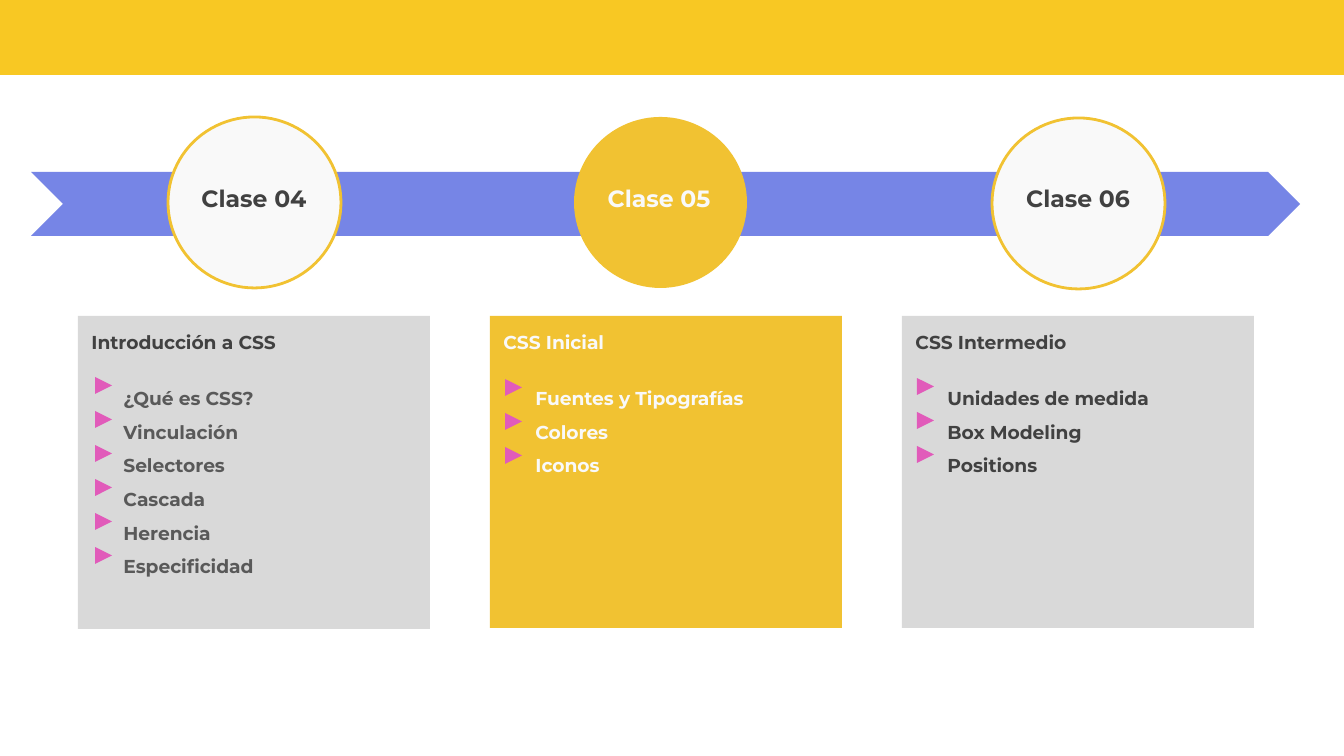
from pptx import Presentation
from pptx.dml.color import RGBColor
from pptx.enum.shapes import MSO_SHAPE
from pptx.enum.text import MSO_ANCHOR, MSO_AUTO_SIZE, PP_ALIGN
from pptx.oxml.ns import qn
from pptx.util import Pt
from lxml import etree

PIXEL = 914400 / 134.4

THEME = {
    "font": "Montserrat",
    "label_size": 12.6,
    "list_size": 10,
    "banner": "F8C823",
    "arrow": "7685E6",
    "active": "F1C232",
    "circle": "F9F9F9",
    "card": "D9D9D9",
    "marker": "E15BBA",
    "light": "F9F9F9",
    "dark": "414141",
    "grey": "595959",
}

CLASSES = [
    {"label": "Clase 04", "heading": "Introducción a CSS", "active": False,
     "items": ["¿Qué es CSS?", "Vinculación", "Selectores", "Cascada", "Herencia", "Especificidad"],
     "text": "dark", "item_text": "grey", "circle": (168, 117), "label_box": (187, 134),
     "markers": (95, 377), "card_height": 313},
    {"label": "Clase 05", "heading": "CSS Inicial", "active": True,
     "items": ["Fuentes y Tipografías", "Colores", "Iconos"],
     "text": "light", "item_text": "light", "circle": (574, 117), "label_box": (579, 160),
     "markers": (505, 379), "card_height": 312},
    {"label": "Clase 06", "heading": "CSS Intermedio", "active": False,
     "items": ["Unidades de medida", "Box Modeling", "Positions"],
     "text": "dark", "item_text": "dark", "circle": (992, 118), "label_box": (1011, 134),
     "markers": (917, 378), "card_height": 312},
]
CARD_LEFT, CARD_STEP, CARD_TOP, CARD_WIDTH = 78, 412, 316, 352
MARKER_SIZE, MARKER_STEP = 17, 34

presentation = Presentation()
presentation.slide_width = round(1344 * PIXEL)
presentation.slide_height = round(756 * PIXEL)
slide = presentation.slides.add_slide(presentation.slide_layouts.get_by_name("Comparison"))
title, *bodies = slide.placeholders
spare = bodies.pop()
spare.element.getparent().remove(spare.element)


def add_block(kind, box, fill, outline=None):
    shape = slide.shapes.add_shape(kind, *[round(value * PIXEL) for value in box])
    shape.shadow.inherit = False
    shape.fill.solid()
    shape.fill.fore_color.rgb = RGBColor.from_string(THEME[fill])
    if outline:
        shape.line.color.rgb = RGBColor.from_string(THEME[outline])
        shape.line.width = Pt(1.5)
    else:
        shape.line.fill.background()
    return shape


def write_text(shape, box, lines, size, alignment):
    """Each line is (text, colour, left indent, space before, line spacing)."""
    for name, value in zip(("left", "top", "width", "height"), box):
        setattr(shape, name, round(value * PIXEL))
    frame = shape.text_frame
    frame_format = {"word_wrap": True, "auto_size": MSO_AUTO_SIZE.NONE,
                    "vertical_anchor": MSO_ANCHOR.TOP}
    for side in ("left", "top", "right", "bottom"):
        frame_format["margin_" + side] = round(13.44 * PIXEL)
    for name, value in frame_format.items():
        setattr(frame, name, value)
    frame.text = "\n".join(line[0] for line in lines)
    for paragraph, (_, colour, indent, before, spacing) in zip(frame.paragraphs, lines):
        paragraph_format = {"alignment": alignment, "space_before": Pt(before),
                            "space_after": Pt(0), "line_spacing": spacing}
        for name, value in paragraph_format.items():
            setattr(paragraph, name, value)
        properties = paragraph._p.get_or_add_pPr()
        properties.set("marL", str(round(indent * PIXEL)))
        properties.set("indent", "0")
        etree.SubElement(properties, qn("a:buNone"))
        font = paragraph.runs[0].font
        for name, value in {"name": THEME["font"], "size": Pt(size), "bold": True}.items():
            setattr(font, name, value)
        font.color.rgb = RGBColor.from_string(THEME[colour])


# Banner and timeline arrow
add_block(MSO_SHAPE.RECTANGLE, (-1, -7, 1348, 82), "banner")
add_block(MSO_SHAPE.CHEVRON, (31, 172, 1269, 64), "arrow")

for index, (lesson, body) in enumerate(zip(CLASSES, bodies)):
    card_left = CARD_LEFT + index * CARD_STEP
    active = lesson["active"]

    # Circle and card
    add_block(MSO_SHAPE.OVAL, (*lesson["circle"], 173, 171),
              "active" if active else "circle", None if active else "active")
    add_block(MSO_SHAPE.RECTANGLE, (card_left, CARD_TOP, CARD_WIDTH, lesson["card_height"]),
              "active" if active else "card")

    # Class label: the current class is the slide title
    label = title if active else slide.shapes.add_textbox(0, 0, 0, 0)
    label_left, label_width = lesson["label_box"]
    write_text(label, (label_left, 171, label_width, 44),
               [(lesson["label"], lesson["text"], 0, 0, 1.0)],
               THEME["label_size"], PP_ALIGN.CENTER)

    # Heading and topics
    lines = [(lesson["heading"], lesson["text"], 0, 0, 1.0)]
    for number, item in enumerate(lesson["items"]):
        lines.append((item, lesson["item_text"], 32, 0 if number else 12.2, 1.5))
    write_text(body, (card_left, CARD_TOP + 1, CARD_WIDTH, 312), lines,
               THEME["list_size"], PP_ALIGN.LEFT)

    # Placeholders go in front of the circle and the card
    for shape in (label, body):
        slide.shapes._spTree.append(shape.element)

    # Topic markers
    marker_left, marker_top = lesson["markers"]
    for number in range(len(lesson["items"])):
        marker = add_block(MSO_SHAPE.ISOSCELES_TRIANGLE,
                           (marker_left, marker_top + number * MARKER_STEP,
                            MARKER_SIZE, MARKER_SIZE), "marker")
        marker.rotation = 90

presentation.save("out.pptx")
